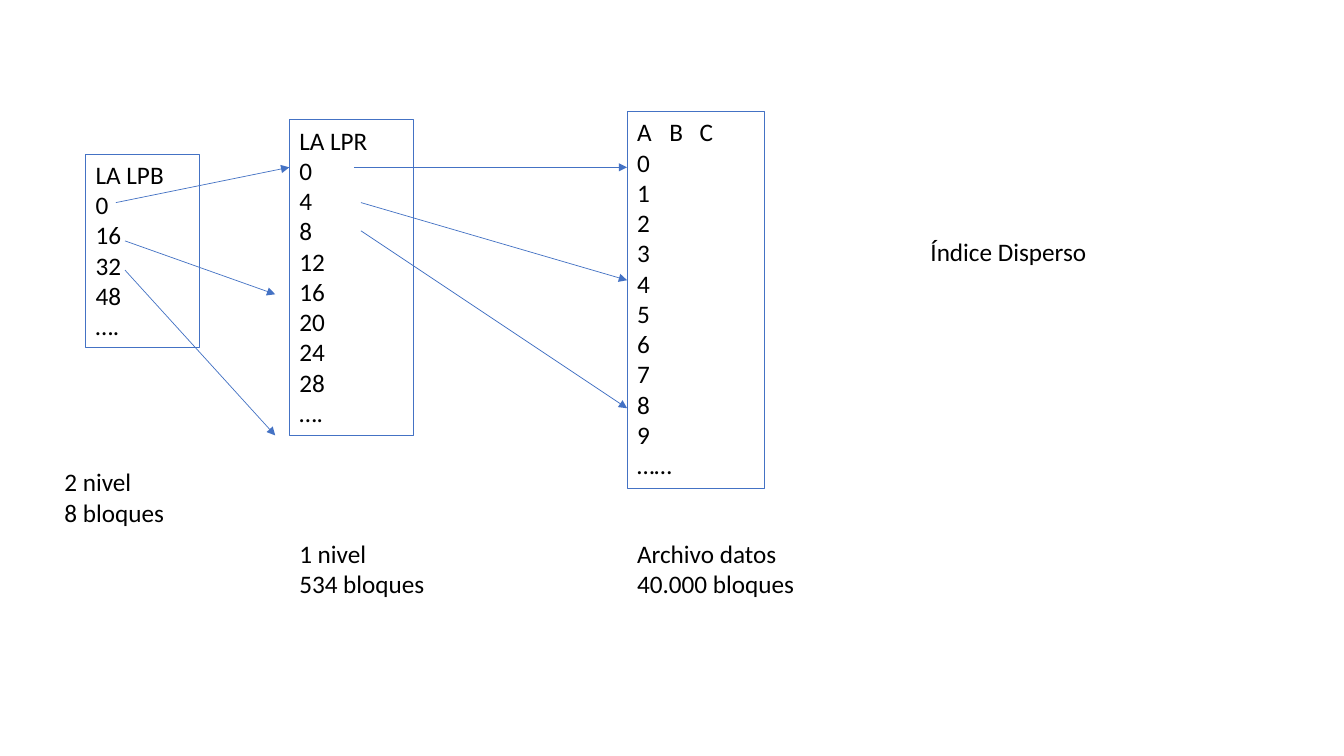
from lxml.etree import SubElement
from pptx import Presentation
from pptx.dml.color import RGBColor
from pptx.enum.shapes import MSO_CONNECTOR, MSO_SHAPE
from pptx.enum.text import MSO_ANCHOR, MSO_AUTO_SIZE, PP_ALIGN
from pptx.oxml.ns import qn
from pptx.util import Pt

PX = 9144
BLUE = RGBColor(0x44, 0x72, 0xC4)
BLACK = RGBColor(0, 0, 0)
FONT = "Calibri"
TABS = (32, 62)


def scale(*sizes):
    """Turn px lengths into EMU."""
    return [size * PX for size in sizes]


def write(shape, lines):
    """Fill a shape with one left-aligned paragraph per line."""
    frame = shape.text_frame
    frame.word_wrap = True
    frame.auto_size = MSO_AUTO_SIZE.SHAPE_TO_FIT_TEXT
    frame.vertical_anchor = MSO_ANCHOR.TOP
    for row, line in enumerate(lines):
        para = frame.add_paragraph() if row else frame.paragraphs[0]
        para.alignment = PP_ALIGN.LEFT
        run = para.add_run()
        run.text = str(line)
        run.font.name = FONT
        run.font.size = Pt(18)
        run.font.color.rgb = BLACK
    return frame


def add_label(slide, place, lines):
    """Add plain text without an outline."""
    write(slide.shapes.add_textbox(*scale(*place)), lines)


def add_block(slide, place, lines):
    """Add an outlined list of keys and return its text frame."""
    box = slide.shapes.add_shape(MSO_SHAPE.RECTANGLE, *scale(*place))
    box.shadow.inherit = False
    box.fill.background()
    box.line.color.rgb = BLUE
    box.line.width = Pt(0.75)
    return write(box, lines)


def set_tabs(para, stops):
    """Give a paragraph left tab stops."""
    tabs = SubElement(para._p.get_or_add_pPr(), qn("a:tabLst"))
    for stop in scale(*stops):
        SubElement(tabs, qn("a:tab"), pos=str(stop), algn="l")


def add_arrow(slide, ends):
    """Add a thin arrow from one point to another."""
    arrow = slide.shapes.add_connector(MSO_CONNECTOR.STRAIGHT, *scale(*ends))
    arrow.line.color.rgb = BLUE
    arrow.line.width = Pt(0.5)
    SubElement(arrow.line._get_or_add_ln(), qn("a:tailEnd"), type="triangle")
    SubElement(arrow._element.spPr, qn("a:effectLst"))


def main():
    """Build the sparse index slide."""
    deck = Presentation()
    deck.slide_width, deck.slide_height = scale(1333, 750)
    slide = deck.slides.add_slide(deck.slide_layouts[6])

    data = add_block(slide, (622, 111, 136, 374),
                     ["A\tB\tC", *range(10), "……"])
    set_tabs(data.paragraphs[0], TABS)
    add_block(slide, (287, 119, 123, 313),
              ["LA LPR", *range(0, 32, 4), "…."])
    add_block(slide, (85, 153, 113, 192),
              ["LA LPB", *range(0, 64, 16), "…."])

    for place, lines in (
        ((622, 529, 188, 71), ["Archivo datos", "40.000 bloques"]),
        ((287, 529, 180, 71), ["1 nivel", "534 bloques"]),
        ((54, 458, 166, 71), ["2 nivel", "8 bloques"]),
        ((913, 230, 228, 40), ["Índice Disperso"]),
    ):
        add_label(slide, place, lines)

    for ends in (
        (351, 166, 622, 166),
        (358, 201, 622, 278),
        (358, 229, 622, 405),
        (115, 201, 287, 166),
        (124, 239, 273, 292),
        (124, 268, 273, 432),
    ):
        add_arrow(slide, ends)

    deck.save("out.pptx")


if __name__ == "__main__":
    main()
